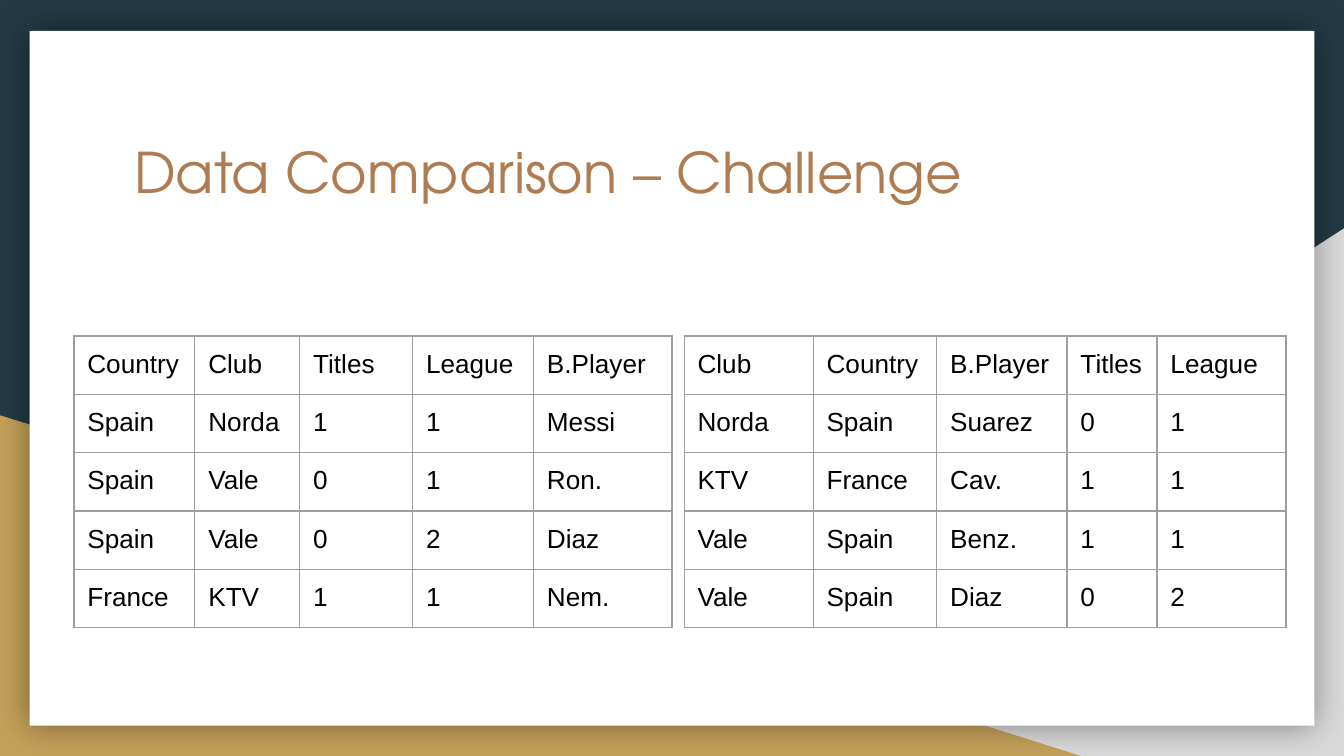
from lxml.etree import SubElement
from pptx import Presentation
from pptx.dml.color import RGBColor
from pptx.enum.shapes import MSO_SHAPE
from pptx.oxml.ns import qn
from pptx.util import Inches, Pt

NAVY = RGBColor(0x23, 0x3A, 0x44)
GREY = RGBColor(0xD9, 0xD9, 0xD9)
GOLD = RGBColor(0xC4, 0xA1, 0x5A)
WHITE = RGBColor(0xFF, 0xFF, 0xFF)
BROWN = RGBColor(0xAF, 0x7B, 0x51)
BLACK = RGBColor(0, 0, 0)
RULE = RGBColor(0x9E, 0x9E, 0x9E)


class Deck:
    title_font = "TeX Gyre Adventor"
    body_font = "Arial"
    pad = Inches(0.1)

    def __init__(self, slide):
        self.slide = slide

    def back(self, color):
        fill = self.slide.background.fill
        fill.solid()
        fill.fore_color.rgb = color

    def shape(self, kind, box, color, flip=False):
        shape = self.slide.shapes.add_shape(kind, *map(Inches, box))
        shape.shadow.inherit = False
        shape.fill.solid()
        shape.fill.fore_color.rgb = color
        shape.line.fill.background()
        if flip:
            shape._element.spPr.xfrm.set("flipH", "1")
        return shape

    def glow(self, shape, blur, alpha):
        """Give the shape a soft black shadow on all sides."""
        effects = shape._element.spPr.find(qn("a:effectLst"))
        outer = SubElement(effects, qn("a:outerShdw"), blurRad=str(Pt(blur)),
                           dist="0", dir="0", algn="ctr", rotWithShape="0")
        color = SubElement(outer, qn("a:srgbClr"), val=str(BLACK))
        SubElement(color, qn("a:alpha"), val=str(alpha * 1000))

    def inset(self, item):
        item.margin_left = item.margin_right = self.pad
        item.margin_top = item.margin_bottom = self.pad

    def style(self, para, name, size, color):
        para.font.name = name
        para.font.size = Pt(size)
        para.font.color.rgb = color

    def title(self, text, box):
        frame = self.slide.shapes.add_textbox(*map(Inches, box)).text_frame
        frame.word_wrap = True
        self.inset(frame)
        frame.text = text
        self.style(frame.paragraphs[0], self.title_font, 30, BROWN)

    def border(self, cell):
        props = cell._tc.get_or_add_tcPr()
        for place, side in enumerate(("lnL", "lnR", "lnT", "lnB")):
            line = SubElement(props, qn(f"a:{side}"), w=str(Pt(0.75)))
            fill = SubElement(line, qn("a:solidFill"))
            SubElement(fill, qn("a:srgbClr"), val=str(RULE))
            props.insert(place, line)

    def table(self, box, widths, heights, rows):
        frame = self.slide.shapes.add_table(len(rows), len(widths),
                                            *map(Inches, box))
        table = frame.table
        table.first_row = table.horz_banding = False
        for col, width in zip(table.columns, widths):
            col.width = Inches(width)
        for row, height, texts in zip(table.rows, heights, rows):
            row.height = Inches(height)
            for cell, text in zip(row.cells, texts):
                cell.fill.background()
                self.border(cell)
                self.inset(cell)
                cell.text = text
                self.style(cell.text_frame.paragraphs[0],
                           self.body_font, 14, BLACK)
        # Column and row sizes reset the frame, so size it last
        frame.width, frame.height = map(Inches, box[2:])


def main():
    show = Presentation()
    show.slide_width, show.slide_height = Inches(10), Inches(10 * 9 / 16)
    deck = Deck(show.slides.add_slide(show.slide_layouts[6]))

    # Backdrop and white card
    deck.back(NAVY)
    deck.shape(MSO_SHAPE.RIGHT_TRIANGLE, (3.92, 1.7, 6.08, 3.93), GREY, True)
    deck.shape(MSO_SHAPE.RIGHT_TRIANGLE, (0, 3.09, 8.06, 2.54), GOLD)
    card = deck.shape(MSO_SHAPE.RECTANGLE, (0.22, 0.23, 9.56, 5.17), WHITE)
    deck.glow(card, 18, 40)

    # Title
    deck.title("Data Comparison – Challenge", (0.9, 0.92, 8.21, 1.04))

    # Two tables to compare, with invented club names
    heights = [0.43] + [0.27] * 4
    deck.table((0.55, 2.5, 3.28, 3.28), (0.9, 0.78, 0.84, 0.9, 1.03), heights, (
        ("Country", "Club", "Titles", "League", "B.Player"),
        ("Spain", "Norda", "1", "1", "Messi"),
        ("Spain", "Vale", "0", "1", "Ron."),
        ("Spain", "Vale", "0", "2", "Diaz"),
        ("France", "KTV", "1", "1", "Nem."),
    ))
    deck.table((5.09, 2.5, 3.28, 3.28), (0.96, 0.92, 0.97, 0.67, 0.96), heights, (
        ("Club", "Country", "B.Player", "Titles", "League"),
        ("Norda", "Spain", "Suarez", "0", "1"),
        ("KTV", "France", "Cav.", "1", "1"),
        ("Vale", "Spain", "Benz.", "1", "1"),
        ("Vale", "Spain", "Diaz", "0", "2"),
    ))

    show.save("out.pptx")


if __name__ == "__main__":
    main()
